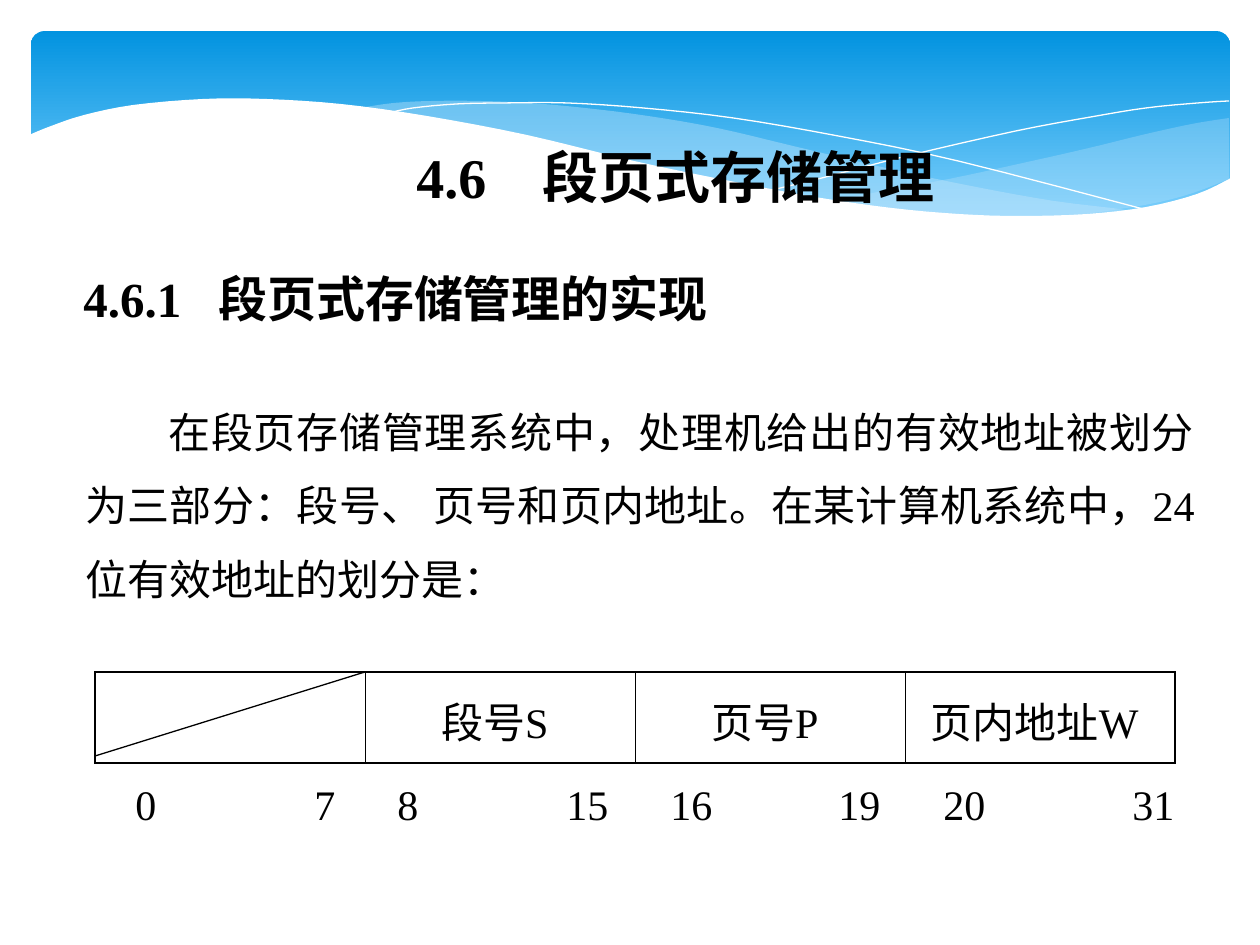
import pptx
import pptx.dml.color
import pptx.enum.shapes
import pptx.enum.text
import pptx.oxml
import pptx.oxml.ns
import pptx.util

PIXEL = 914400 / 126
FONT = "Times New Roman"
COLORS = {"ink": "000000", "paper": "FFFFFF", "sky_top": "0293E0",
          "sky_bottom": "83D3FE", "wave": "C6E7FC"}

# Curve points, relative to the banner's top left corner
SMALL_WAVE = [(1198, 87), (1161, 93), (1111, 104), (1054, 118), (983, 134), (918, 148),
              (802, 171), (857, 177), (907, 182), (953, 185), (995, 186), (1045, 184),
              (1089, 178), (1129, 171), (1165, 161), (1198, 148)]
LONG_WAVE = [(329, 77), (363, 72), (402, 70), (448, 70), (498, 72), (554, 77), (617, 85),
             (686, 97), (762, 115), (859, 138), (945, 156), (1023, 170), (1094, 179),
             (1074, 182), (1037, 185), (999, 187), (958, 186), (911, 183), (862, 178),
             (807, 172), (747, 162), (682, 149), (588, 128), (478, 103), (400, 87)]
FALLING_LINE = [(358, 82), (382, 77), (426, 73), (474, 72), (536, 72), (612, 77),
                (702, 87), (807, 105), (927, 130), (1112, 178)]
RISING_LINE = [(741, 159), (791, 147), (876, 125), (985, 100), (1060, 86),
               (1115, 77), (1167, 72), (1198, 70)]
PAPER_EDGE = [(-2, 104), (20, 95), (53, 84), (102, 74), (172, 68), (235, 68), (310, 73),
              (396, 85), (496, 104), (603, 130), (699, 150), (784, 166), (861, 177),
              (928, 183), (988, 185), (1056, 183), (1115, 176), (1166, 163), (1200, 147)]


def px(length):
    return pptx.util.Emu(round(length * PIXEL))


def rgb(name):
    return pptx.dml.color.RGBColor.from_string(COLORS[name])


def smooth(points, steps=4):
    """Catmull-Rom curve through the points, as a list of short segments."""
    ends = [points[0], *points, points[-1]]
    curve = []
    for before, start, stop, after in zip(ends, ends[1:], ends[2:], ends[3:]):
        for step in range(steps):
            t = step / steps
            curve.append(tuple(
                b + t / 2 * (c - a + t * (2 * a - 5 * b + 4 * c - d + t * (3 * b - a - 3 * c + d)))
                for a, b, c, d in zip(before, start, stop, after)))
    return curve + [points[-1]]


def add_outline(page, left, top, points, closed):
    spots = [((left + x) * PIXEL, (top + y) * PIXEL) for x, y in points]
    builder = page.shapes.build_freeform(*spots[0], scale=1.0)
    builder.add_line_segments(spots[1:], close=closed)
    shape = builder.convert_to_shape()
    shape.shadow.inherit = False
    return shape


def add_area(page, left, top, points, color, opacity=100):
    area = add_outline(page, left, top, points, True)
    area.fill.solid()
    area.fill.fore_color.rgb = rgb(color)
    area.line.fill.background()
    if opacity < 100:
        tint = area._element.spPr.find(".//" + pptx.oxml.ns.qn("a:srgbClr"))
        tint.append(pptx.oxml.parse_xml(
            f'<a:alpha {pptx.oxml.ns.nsdecls("a")} val="{opacity * 1000}"/>'))


def add_banner(page, left, top, width, height):
    sky = page.shapes.add_shape(pptx.enum.shapes.MSO_SHAPE.ROUNDED_RECTANGLE,
                                px(left), px(top), px(width), px(height))
    sky.adjustments[0] = 0.07
    sky.shadow.inherit = False
    sky.line.fill.background()
    sky.fill.gradient()
    sky.fill.gradient_angle = 270
    for stop, color, position in zip(sky.fill.gradient_stops, ("sky_top", "sky_bottom"), (0, 1)):
        stop.color.rgb = rgb(color)
        stop.position = position

    add_area(page, left, top, smooth(SMALL_WAVE), "wave", 29)
    add_area(page, left, top, smooth(LONG_WAVE), "wave", 40)
    for points in (FALLING_LINE, RISING_LINE):
        stroke = add_outline(page, left, top, smooth(points), False)
        stroke.fill.background()
        stroke.line.color.rgb = rgb("paper")
        stroke.line.width = pptx.util.Pt(0)
    corners = [(width + 2, height + 54), (-2, height + 54)]
    add_area(page, left, top, smooth(PAPER_EDGE) + corners, "paper")


def style_paragraph(para, size, bold=False):
    for span in para.runs:
        span.font.name = FONT
        span.font.size = pptx.util.Pt(size)
        span.font.bold = bold
        span.font.color.rgb = rgb("ink")


def set_tabs(para, stops):
    tabs = "".join(f'<a:tab pos="{px(stop)}" algn="l"/>' for stop in stops)
    para._p.get_or_add_pPr().append(pptx.oxml.parse_xml(
        f'<a:tabLst {pptx.oxml.ns.nsdecls("a")}>{tabs}</a:tabLst>'))


def add_text(page, left, top, width, height, text, size, bold=False, tabs=()):
    box = page.shapes.add_textbox(px(left), px(top), px(width), px(height))
    box.text_frame.word_wrap = True
    para = box.text_frame.paragraphs[0]
    para.text = text
    if tabs:
        set_tabs(para, tabs)
    style_paragraph(para, size, bold)
    return para


def add_body(page, left, top, width, height):
    para = add_text(page, left, top, width, height,
                    "在段页存储管理系统中，处理机给出的有效地址被划分为三部分：段号、 页号和页内地址。"
                    "在某计算机系统中，24 位有效地址的划分是：", 24)
    para.alignment = pptx.enum.text.PP_ALIGN.JUSTIFY
    para.line_spacing = 1.45
    para._p.get_or_add_pPr().set("indent", str(px(83)))


def set_borders(cell, widths):
    """Draw the cell's sides; widths maps L, R, T and B to points."""
    properties = cell._tc.get_or_add_tcPr()
    for position, side in enumerate("LRTB"):
        properties.insert(position, pptx.oxml.parse_xml(
            f'<a:ln{side} {pptx.oxml.ns.nsdecls("a")} w="{pptx.util.Pt(widths[side])}">'
            f'<a:solidFill><a:srgbClr val="{COLORS["ink"]}"/></a:solidFill></a:ln{side}>'))


def add_address_table(page, left, top, width, height):
    fields = ["", "段号S", "页号P", "页内地址W"]
    column_width = width / len(fields)
    frame = page.shapes.add_table(1, len(fields), px(left), px(top), px(width), px(height))
    table = frame.table
    table.first_row = table.horz_banding = False
    thick, thin = 1.08, 0.45
    for index, field in enumerate(fields):
        table.columns[index].width = px(column_width)
        cell = table.cell(0, index)
        cell.fill.background()
        cell.vertical_anchor = pptx.enum.text.MSO_ANCHOR.MIDDLE
        cell.margin_right = px(23)
        cell.margin_top = px(12)
        para = cell.text_frame.paragraphs[0]
        para.text = field
        para.alignment = pptx.enum.text.PP_ALIGN.CENTER
        style_paragraph(para, 24)
        set_borders(cell, {"L": thick if index == 0 else thin,
                           "R": thick if index == len(fields) - 1 else thin,
                           "T": thick, "B": thick})

    diagonal = page.shapes.add_connector(
        pptx.enum.shapes.MSO_CONNECTOR.STRAIGHT,
        px(left), px(top + height - 7), px(left + column_width), px(top))
    diagonal.line.color.rgb = rgb("ink")
    diagonal.line.width = pptx.util.Pt(0.75)
    diagonal._element.spPr.append(pptx.oxml.parse_xml(
        f'<a:effectLst {pptx.oxml.ns.nsdecls("a")}/>'))


def main():
    deck = pptx.Presentation()
    deck.slide_width, deck.slide_height = px(1260), px(945)
    page = deck.slides.add_slide(deck.slide_layouts[6])
    add_banner(page, 31, 31, 1199, 197)
    add_text(page, 404, 136, 556, 81, "4.6\t段页式存储管理", 32, True, [126])
    add_text(page, 71, 262, 659, 72, "4.6.1\t段页式存储管理的实现", 28, True, [135])
    add_body(page, 73, 378, 1134, 232)
    add_address_table(page, 95, 672, 1080, 91)
    bit_numbers = [0, 7, 8, 15, 16, 19, 20, 31]
    add_text(page, 123, 772, 1075, 63, "\t".join(map(str, bit_numbers)), 24,
             tabs=[179, 262, 431, 535, 703, 808, 997])
    deck.save("out.pptx")


if __name__ == "__main__":
    main()
